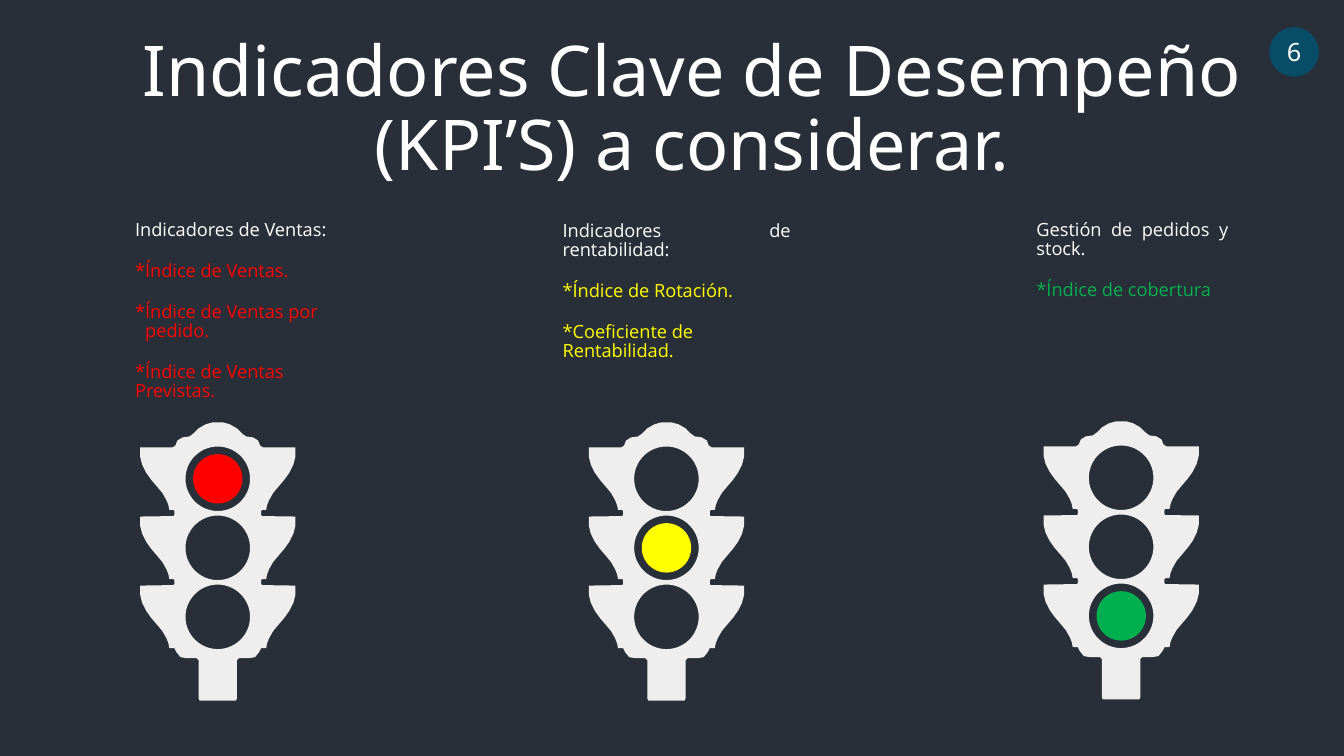
"""Build the slide on key performance indicators, with three traffic lights."""
from dataclasses import dataclass
from math import cos, pi, sin

from pptx import Presentation
from pptx.dml.color import RGBColor
from pptx.enum.shapes import MSO_SHAPE
from pptx.enum.text import MSO_ANCHOR, MSO_AUTO_SIZE, PP_ALIGN
from pptx.oxml.ns import qn
from pptx.util import Inches, Pt

OVAL = MSO_SHAPE.OVAL
TOP, MIDDLE = MSO_ANCHOR.TOP, MSO_ANCHOR.MIDDLE
LEFT, CENTER, JUSTIFY = PP_ALIGN.LEFT, PP_ALIGN.CENTER, PP_ALIGN.JUSTIFY
NO_FIT = MSO_AUTO_SIZE.NONE


@dataclass(frozen=True)
class Theme:
    """Colours, fonts and type sizes."""
    back: RGBColor = RGBColor(0x28, 0x2F, 0x39)
    white: RGBColor = RGBColor(0xFF, 0xFF, 0xFF)
    case: RGBColor = RGBColor(0xEE, 0xEE, 0xEE)
    badge: RGBColor = RGBColor(0x07, 0x4D, 0x67)
    red: RGBColor = RGBColor(0xFF, 0x00, 0x00)
    yellow: RGBColor = RGBColor(0xFF, 0xFF, 0x00)
    green: RGBColor = RGBColor(0x00, 0xB0, 0x50)
    head: str = "Noto Sans"
    text: str = "Open Sans"
    title: Pt = Pt(50)
    body: Pt = Pt(13)
    number: Pt = Pt(18)
    gap: Pt = Pt(15.6)
    spacing: float = 0.88


@dataclass(frozen=True)
class Item:
    """One indicator in a list."""
    text: str
    align: PP_ALIGN = LEFT
    hang: float = 0


@dataclass(frozen=True)
class Topic:
    """A list of indicators and the traffic light below it."""
    head: str
    items: tuple[Item, ...]
    box: tuple[float, float, float, float]
    mid: float
    top: float
    lit: int
    color: RGBColor


THEME = Theme()
TOPICS = (
    Topic("Indicadores de Ventas:",
          (Item("*Índice de Ventas."),
           Item("*Índice de Ventas por pedido.", hang=0.1),
           Item("*Índice de Ventas Previstas.")),
          (1.24, 2.14, 2.1, 2.29), 2.16, 4.19, 0, THEME.red),
    Topic("Indicadores de rentabilidad:",
          (Item("*Índice de Rotación."), Item("*Coeficiente de Rentabilidad.")),
          (5.48, 2.15, 2.46, 1.41), 6.61, 4.19, 1, THEME.yellow),
    Topic("Gestión de pedidos y stock.",
          (Item("*Índice de cobertura", JUSTIFY),),
          (10.18, 2.14, 2.1, 0.98), 11.12, 4.18, 2, THEME.green),
)

# Right half of the case, as distances from its middle line and its top.
TIERS, FIRST, PITCH = 3, 0.25, 1.37 / 2
CAP = [(0, 0), (0.05, 0), (0.12, 0.02), (0.19, 0.06), (0.24, 0.11),
       (0.28, 0.14), (0.35, 0.15), (0.4, 0.18), (0.42, 0.23), (0.45, 0.25)]
WING = [(0.77, 0), (0.77, 0.09), (0.75, 0.17), (0.71, 0.25), (0.66, 0.32),
        (0.6, 0.39), (0.55, 0.45), (0.51, 0.52), (0.49, 0.57), (0.48, 0.62)]
NOTCH = [(0.44, 0.62), (0.43, 0.63), (0.43, 0.67), (0.44, 0.68)]
FOOT = [(0.43, 2.24), (0.41, 2.28), (0.37, 2.33), (0.31, 2.34), (0.21, 2.34),
        (0.19, 2.36), (0.19, 2.74), (0.18, 2.76), (0, 2.76)]
LENS, DROP, LAMP = 0.32, 0.56, 0.49


def outline() -> list:
    """Return the whole case, its left half mirrored from the right."""
    half = list(CAP)
    for tier in range(TIERS):
        rim = WING + NOTCH if tier < TIERS - 1 else WING
        half += [(x, y + FIRST + tier * PITCH) for x, y in rim]
    half += FOOT
    return half + [(-x, y) for x, y in half[-2:0:-1]]


def ring(y: float, steps: int = 60) -> list:
    """Return a lens hole, turned against the outline."""
    turns = [-2 * pi * i / steps for i in range(steps)]
    return [(LENS * cos(a), y + LENS * sin(a)) for a in turns]


def paint(shape, color: RGBColor) -> None:
    """Give a shape a flat fill with no line or shadow."""
    shape.fill.solid()
    shape.fill.fore_color.rgb = color
    shape.line.fill.background()
    shape.shadow.inherit = False


def place(shape, box: tuple) -> None:
    """Move and size a shape, in inches."""
    shape.left, shape.top, shape.width, shape.height = map(Inches, box)


def style(para, face: str, size: Pt, color: RGBColor, align: PP_ALIGN) -> None:
    """Set the font and alignment of a paragraph."""
    font = para.font
    font.name, font.size, font.bold = face, size, False
    font.color.rgb = color
    para.alignment = align


def light(slide, topic: Topic) -> None:
    """Draw a traffic light with one lamp lit."""
    group = slide.shapes.add_group_shape().shapes
    lens = [DROP + tier * PITCH for tier in range(TIERS)]
    loops = [[(Inches(topic.mid + x), Inches(topic.top + y)) for x, y in loop]
             for loop in [outline(), *map(ring, lens)]]
    pen = group.build_freeform(*loops[0][0])
    pen.add_line_segments(loops[0][1:])
    for loop in loops[1:]:
        pen.move_to(*loop[0])
        pen.add_line_segments(loop[1:])
    paint(pen.convert_to_shape(), THEME.case)
    for tier, y in enumerate(lens):
        lamp = group.add_shape(OVAL, Inches(topic.mid - LAMP / 2),
                               Inches(topic.top + y - LAMP / 2),
                               Inches(LAMP), Inches(LAMP))
        paint(lamp, topic.color if tier == topic.lit else THEME.back)


def indent(para, hang: float) -> None:
    """Drop the bullet and set a hanging indent."""
    props = para._p.get_or_add_pPr()
    props.set("marL", str(Inches(hang)))
    props.set("indent", str(-Inches(hang)))
    props.append(props.makeelement(qn("a:buNone"), {}))


def fill_list(shape, topic: Topic) -> None:
    """Write a heading and its indicators."""
    place(shape, topic.box)
    frame = shape.text_frame
    frame.auto_size, frame.vertical_anchor = NO_FIT, TOP
    rows = (Item(topic.head, JUSTIFY), *topic.items)
    for i, row in enumerate(rows):
        para = frame.add_paragraph() if i else frame.paragraphs[0]
        para.text = row.text
        para.line_spacing = THEME.spacing
        para.space_before = THEME.gap if i else Pt(0)
        indent(para, row.hang)
        style(para, THEME.text, THEME.body,
              topic.color if i else THEME.white, row.align)


def fill_title(shape) -> None:
    """Write the slide title."""
    place(shape, (1.24, 0.32, 11.25, 1.78))
    frame = shape.text_frame
    frame.text = "Indicadores Clave de Desempeño (KPI’S) a considerar."
    frame.auto_size, frame.vertical_anchor = NO_FIT, TOP
    para = frame.paragraphs[0]
    para.line_spacing = THEME.spacing
    style(para, THEME.head, THEME.title, THEME.white, CENTER)


def badge(slide) -> None:
    """Draw the page number in its disc."""
    disc = slide.shapes.add_shape(OVAL, *map(Inches, (12.59, 0.27, 0.49, 0.49)))
    paint(disc, THEME.badge)
    frame = disc.text_frame
    frame.text, frame.word_wrap = "6", False
    frame.vertical_anchor = MIDDLE
    style(frame.paragraphs[0], THEME.head, THEME.number, THEME.white, CENTER)


def main() -> None:
    """Build and save the slide."""
    deck = Presentation()
    deck.slide_width, deck.slide_height = Inches(13.33), Inches(7.5)
    slide = deck.slides.add_slide(deck.slide_layouts.get_by_name("Comparison"))
    slide.background.fill.solid()
    slide.background.fill.fore_color.rgb = THEME.back
    title, *lists, spare = slide.placeholders
    spare.element.getparent().remove(spare.element)
    fill_title(title)
    for shape, topic in zip(lists, TOPICS):
        fill_list(shape, topic)
        light(slide, topic)
    badge(slide)
    deck.save("out.pptx")


main()
